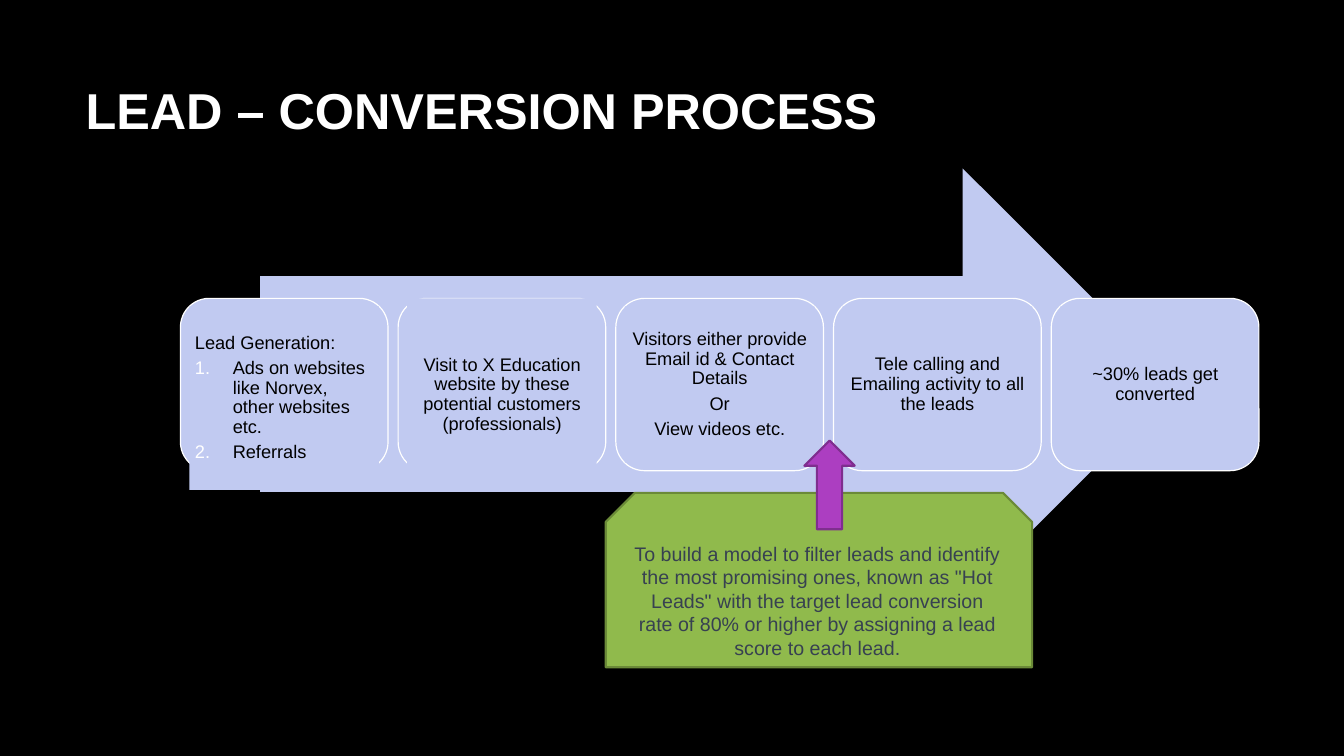
"""Build the lead conversion process slide."""
from dataclasses import dataclass

from lxml import etree
from pptx import Presentation
from pptx import util as u
from pptx.dml import color
from pptx.enum import shapes, text
from pptx.oxml import ns

BLACK, WHITE, LAVENDER = "000000", "FFFFFF", "C1CAF1"
STEP_LEFT, STEP_TOP, STEP_PITCH = 128.88, 213.12, 155.52
STEP_WIDTH, STEP_HEIGHT = 148.32, 123.12
LABEL_INSET, LABEL_WIDTH = 6.48, 135.36
LABEL_MARGINS = (3.9, 3.9, 3.9, 3.9)
MIDDLE, LEFT = text.MSO_ANCHOR.MIDDLE, text.PP_ALIGN.LEFT
CENTER = text.PP_ALIGN.CENTER


@dataclass
class Area:
    left: float
    top: float
    width: float
    height: float

    def lengths(self) -> list:
        return [u.Pt(value) for value in (self.left, self.top, self.width, self.height)]


@dataclass
class Style:
    size: float
    ink: str
    align: int = CENTER
    bold: bool = False
    line_spacing: float = 1.0
    gap: float = 0
    margins: tuple = (7.2, 3.6, 7.2, 3.6)


@dataclass
class Step:
    lines: list
    numbered: bool = False
    align: int = CENTER
    label_top: float = 218.88
    label_height: float = 111.6


STEPS = [
    Step(["Lead Generation:", "Ads on websites like Norvex, other websites etc.", "Referrals"],
         numbered=True, align=LEFT, label_height=131.04),
    Step(["Visit to X Education website by these potential customers (professionals)"],
         label_top=STEP_TOP, label_height=137.52),
    Step(["Visitors either provide Email id & Contact Details", "Or", "View videos etc."]),
    Step(["Tele calling and Emailing activity to all the leads"]),
    Step(["~30% leads get converted"]),
]
GOAL = ('To build a model to filter leads and identify the most promising ones, known as '
        '"Hot Leads" with the target lead conversion rate of 80% or higher by assigning '
        'a lead score to each lead.')


def rgb(value: str) -> color.RGBColor:
    return color.RGBColor.from_string(value)


def apply(target, formats: dict) -> None:
    for name, value in formats.items():
        setattr(target, name, value)


def add_box(page, kind, area: Area, fill: str, line: str = "", weight: float = 0):
    box = page.shapes.add_shape(kind, *area.lengths())
    box.shadow.inherit = False
    box.fill.solid()
    box.fill.fore_color.rgb = rgb(fill)
    if line:
        box.line.color.rgb = rgb(line)
        box.line.width = u.Pt(weight)
    else:
        box.line.fill.background()
    return box


def number(para) -> None:
    properties = para._p.get_or_add_pPr()
    properties.set("marL", str(u.Pt(27)))
    properties.set("indent", str(u.Pt(-27)))
    tint = etree.SubElement(properties, ns.qn("a:buClr"))
    etree.SubElement(tint, ns.qn("a:srgbClr"), val=WHITE)
    etree.SubElement(properties, ns.qn("a:buAutoNum"), type="arabicPeriod")


def write(box, lines: list, style: Style, numbered: bool = False) -> None:
    frame = box.text_frame
    sides = ("margin_left", "margin_top", "margin_right", "margin_bottom")
    apply(frame, {"word_wrap": True, "vertical_anchor": MIDDLE,
                  **{side: u.Pt(value) for side, value in zip(sides, style.margins)}})
    for index, line in enumerate(lines):
        para = frame.add_paragraph() if index else frame.paragraphs[0]
        apply(para, {"alignment": style.align, "line_spacing": style.line_spacing,
                     "space_before": u.Pt(style.gap if index else 0)})
        if numbered and index:
            number(para)
        span = para.add_run()
        span.text = line
        apply(span.font, {"name": "Arial", "size": u.Pt(style.size), "bold": style.bold})
        span.font.color.rgb = rgb(style.ink)


def add_text(page, area: Area, line: str, style: Style) -> None:
    write(page.shapes.add_textbox(*area.lengths()), [line], style)


def add_step(page, index: int, step: Step) -> None:
    left = STEP_LEFT + index * STEP_PITCH
    card = add_box(page, shapes.MSO_SHAPE.ROUNDED_RECTANGLE,
                   Area(left, STEP_TOP, STEP_WIDTH, STEP_HEIGHT), LAVENDER, WHITE, 0.85)
    card.adjustments[0] = 0.167
    label = add_box(page, shapes.MSO_SHAPE.RECTANGLE,
                    Area(left + LABEL_INSET, step.label_top, LABEL_WIDTH, step.label_height),
                    LAVENDER)
    style = Style(13, BLACK, step.align, line_spacing=0.9, gap=4, margins=LABEL_MARGINS)
    write(label, step.lines, style, step.numbered)


def main() -> None:
    deck = Presentation()
    apply(deck, {"slide_width": u.Pt(960), "slide_height": u.Pt(540)})
    page = deck.slides.add_slide(deck.slide_layouts[6])
    page.background.fill.solid()
    page.background.fill.fore_color.rgb = rgb(BLACK)
    add_text(page, Area(54, 48.24, 797.76, 59.04), "LEAD – CONVERSION PROCESS",
             Style(36, WHITE, LEFT, bold=True))
    add_box(page, shapes.MSO_SHAPE.RIGHT_ARROW, Area(185.76, 120.24, 655.92, 308.16), LAVENDER)
    for index, step in enumerate(STEPS):
        add_step(page, index, step)
    add_box(page, shapes.MSO_SHAPE.SNIP_2_SAME_RECTANGLE, Area(432.72, 352.08, 304.56, 124.56),
            "90BA4C", "6B8A38", 1.5)
    add_text(page, Area(446.4, 375.12, 275.04, 107.28), GOAL,
             Style(14, "374151", margins=(5.04, 2.88, 5.04, 2.88)))
    add_box(page, shapes.MSO_SHAPE.UP_ARROW, Area(574.56, 314.64, 36, 63.36),
            "AC3EC1", "7F2E8F", 1.5)
    deck.save("out.pptx")


if __name__ == "__main__":
    main()
